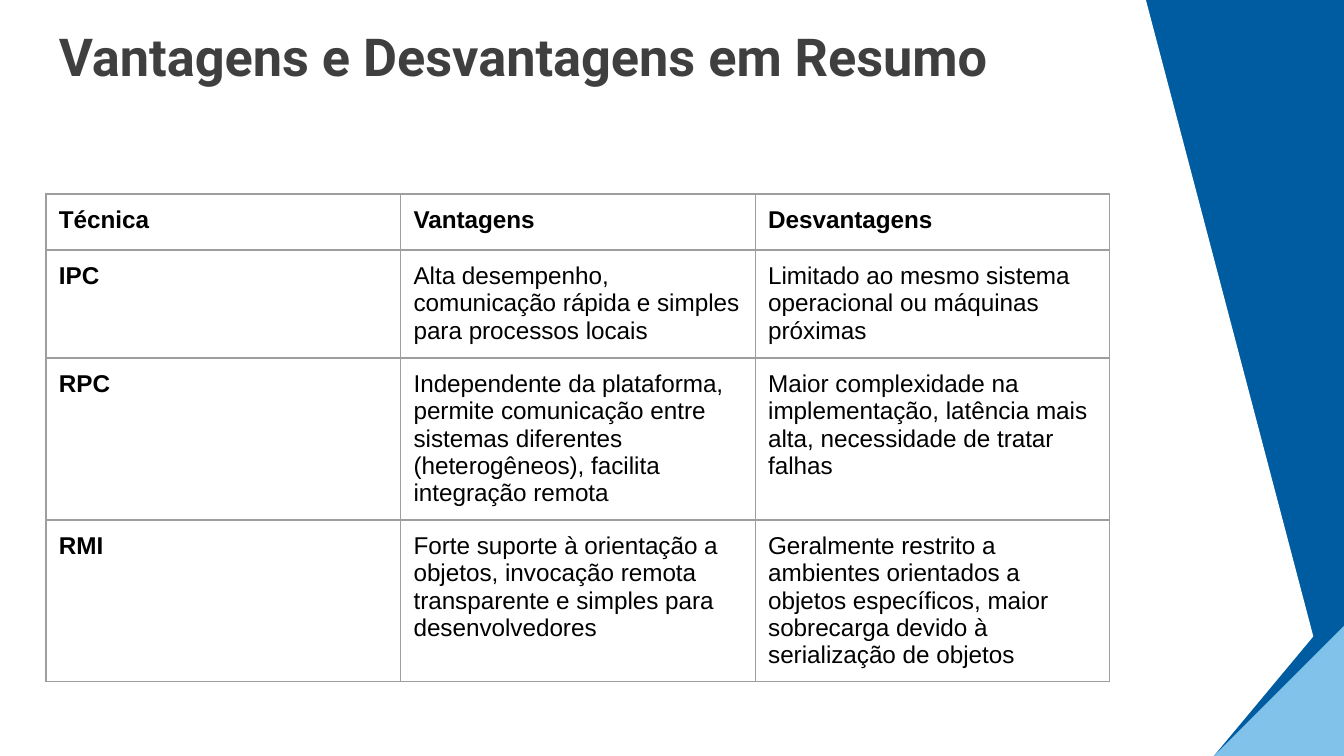
import pptx
import pptx.dml.color
import pptx.enum.shapes
import pptx.enum.text
import pptx.oxml
import pptx.oxml.ns
import pptx.util

RGBColor = pptx.dml.color.RGBColor
Pt = pptx.util.Pt
MSO_SHAPE = pptx.enum.shapes.MSO_SHAPE

W, H = 1344, 756
SCALE = 914400 / 134.4  # EMU per px
MARGIN = 13

BLUE = RGBColor(0x00, 0x5C, 0xA1)
LIGHT_BLUE = RGBColor(0x81, 0xC2, 0xEA)
WHITE = RGBColor(0xFF, 0xFF, 0xFF)
BLACK = RGBColor(0x00, 0x00, 0x00)
DARK_GREY = RGBColor(0x3F, 0x3F, 0x3F)
BORDER_GREY = RGBColor(0x9E, 0x9E, 0x9E)

ROWS = [
    ("Técnica", "Vantagens", "Desvantagens"),
    ("IPC",
     "Alta desempenho, comunicação rápida e simples para processos locais",
     "Limitado ao mesmo sistema operacional ou máquinas próximas"),
    ("RPC",
     "Independente da plataforma, permite comunicação entre sistemas "
     "diferentes (heterogêneos), facilita integração remota",
     "Maior complexidade na implementação, latência mais alta, "
     "necessidade de tratar falhas"),
    ("RMI",
     "Forte suporte à orientação a objetos, invocação remota transparente "
     "e simples para desenvolvedores",
     "Geralmente restrito a ambientes orientados a objetos específicos, "
     "maior sobrecarga devido à serialização de objetos"),
]
ROW_HEIGHTS = [56, 108, 162, 162]


def px(n):
    return pptx.util.Emu(round(n * SCALE))


def write_text(tf, text, font="Arial", size=13, color=BLACK, bold=False):
    tf.word_wrap = True
    p = tf.paragraphs[0]
    p.alignment = pptx.enum.text.PP_ALIGN.LEFT
    r = p.add_run()
    r.text = text
    r.font.name = font
    r.font.size = Pt(size)
    r.font.color.rgb = color
    r.font.bold = bold


def set_margins(item):
    item.margin_left = item.margin_right = px(MARGIN)
    item.margin_top = item.margin_bottom = px(MARGIN)


def paint(sp, color):
    sp.shadow.inherit = False
    sp.fill.solid()
    sp.fill.fore_color.rgb = color
    sp.line.fill.background()


def add_polygon(slide, points, color):
    start, *rest = points
    builder = slide.shapes.build_freeform(*start, scale=SCALE)
    builder.add_line_segments(rest, close=True)
    paint(builder.convert_to_shape(), color)


def add_backdrop(slide, x, y, w, h):
    fill = slide.background.fill
    fill.solid()
    fill.fore_color.rgb = BLUE
    # White page area with its slanted right edge
    add_polygon(slide, [(x, y), (x + 1126, y), (x + w, y + h), (x, y + h)], WHITE)
    add_polygon(slide, [(x + 1146, y), (x + 1328, y + 692),
                        (x + 1325, y + 691), (x + 1125, y)], WHITE)
    # Corner triangles
    side = 130
    for height, color in ((156, BLUE), (side, LIGHT_BLUE)):
        sp = slide.shapes.add_shape(MSO_SHAPE.RIGHT_TRIANGLE, px(x + w - side),
                                    px(y + h - height), px(side), px(height))
        sp.element.spPr.xfrm.set("flipH", "1")
        paint(sp, color)


def add_title(slide, x, y, w, h):
    sp = slide.shapes.title
    sp.left, sp.top, sp.width, sp.height = px(x), px(y), px(w), px(h)
    tf = sp.text_frame
    set_margins(tf)
    tf.auto_size = pptx.enum.text.MSO_AUTO_SIZE.NONE
    tf.vertical_anchor = pptx.enum.text.MSO_ANCHOR.TOP
    write_text(tf, "Vantagens e Desvantagens em Resumo", font="Roboto",
               size=28, color=DARK_GREY, bold=True)
    # Bring the title in front of the backdrop
    sp.element.getparent().append(sp.element)


def add_borders(cell):
    tcPr = cell._tc.get_or_add_tcPr()
    for i, side in enumerate("LRTB"):
        ln = pptx.oxml.parse_xml(
            f'<a:ln{side} {pptx.oxml.ns.nsdecls("a")} w="{Pt(0.75)}"><a:solidFill>'
            f'<a:srgbClr val="{BORDER_GREY}"/></a:solidFill></a:ln{side}>')
        tcPr.insert(i, ln)


def add_comparison(slide, x, y, w, h):
    table = slide.shapes.add_table(len(ROWS), len(ROWS[0]), px(x), px(y),
                                   px(w), px(h)).table
    table.first_row = table.horz_banding = False
    for row, height in zip(table.rows, ROW_HEIGHTS):
        row.height = px(height)
    for i, texts in enumerate(ROWS):
        for j, text in enumerate(texts):
            cell = table.cell(i, j)
            set_margins(cell)
            cell.vertical_anchor = pptx.enum.text.MSO_ANCHOR.TOP
            cell.fill.background()
            add_borders(cell)
            write_text(cell.text_frame, text, bold=i == 0 or j == 0)


def main():
    prs = pptx.Presentation()
    prs.slide_width, prs.slide_height = px(W), px(H)
    slide = prs.slides.add_slide(prs.slide_layouts[5])
    add_backdrop(slide, 0, 0, W, H)
    add_title(slide, 46, 11, 1023, 84)
    add_comparison(slide, 46, 194, 1064, sum(ROW_HEIGHTS))
    prs.save("out.pptx")


if __name__ == "__main__":
    main()
